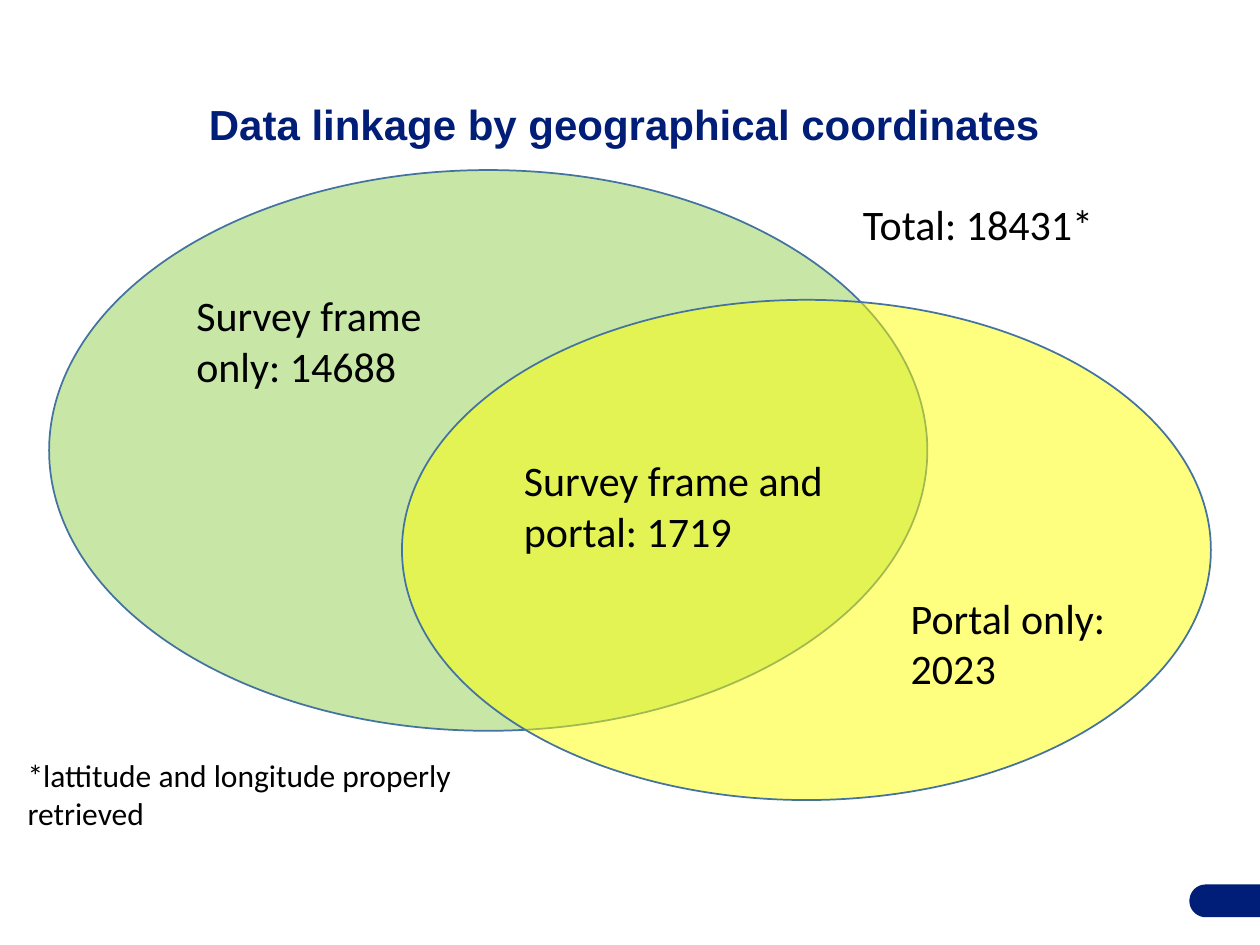
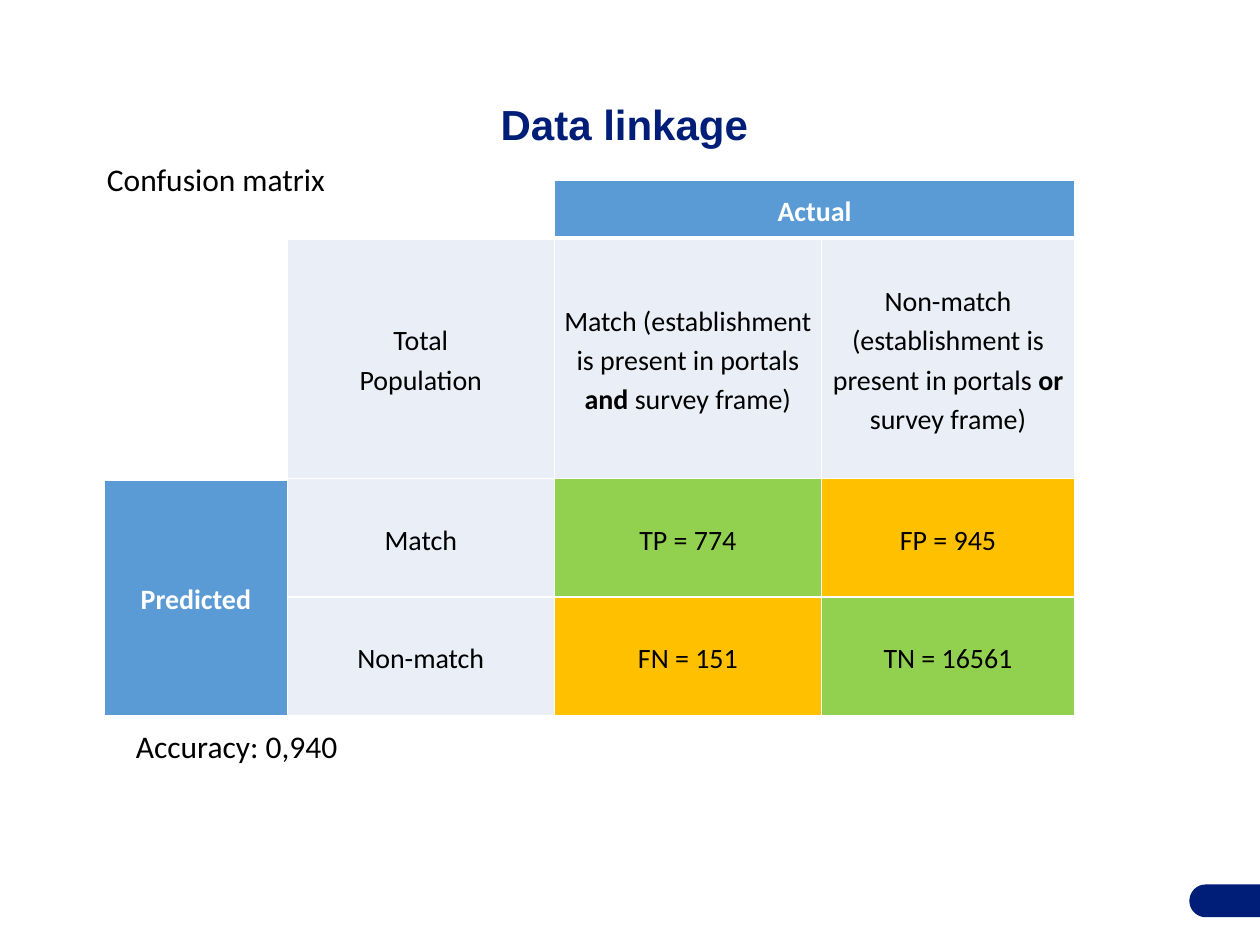
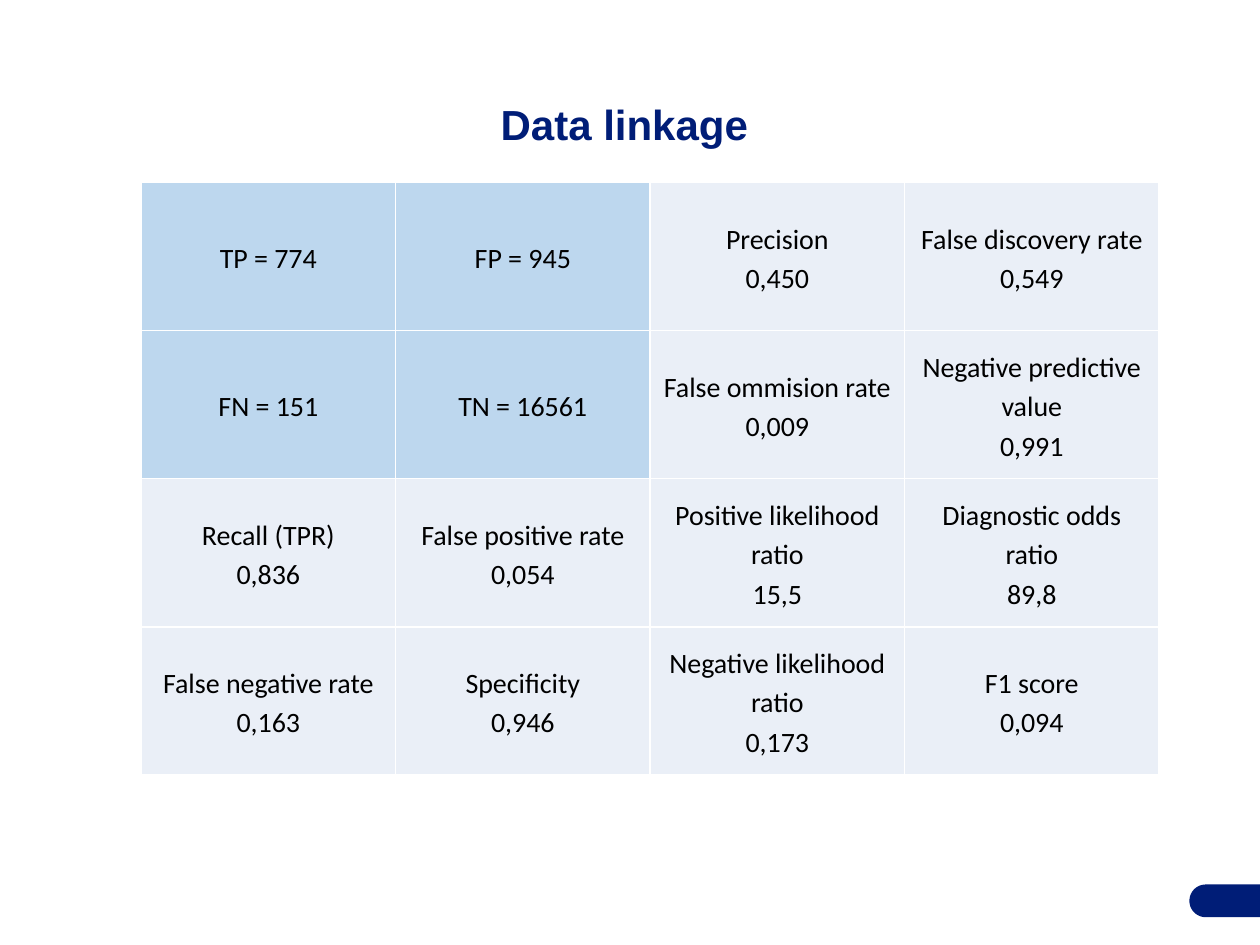
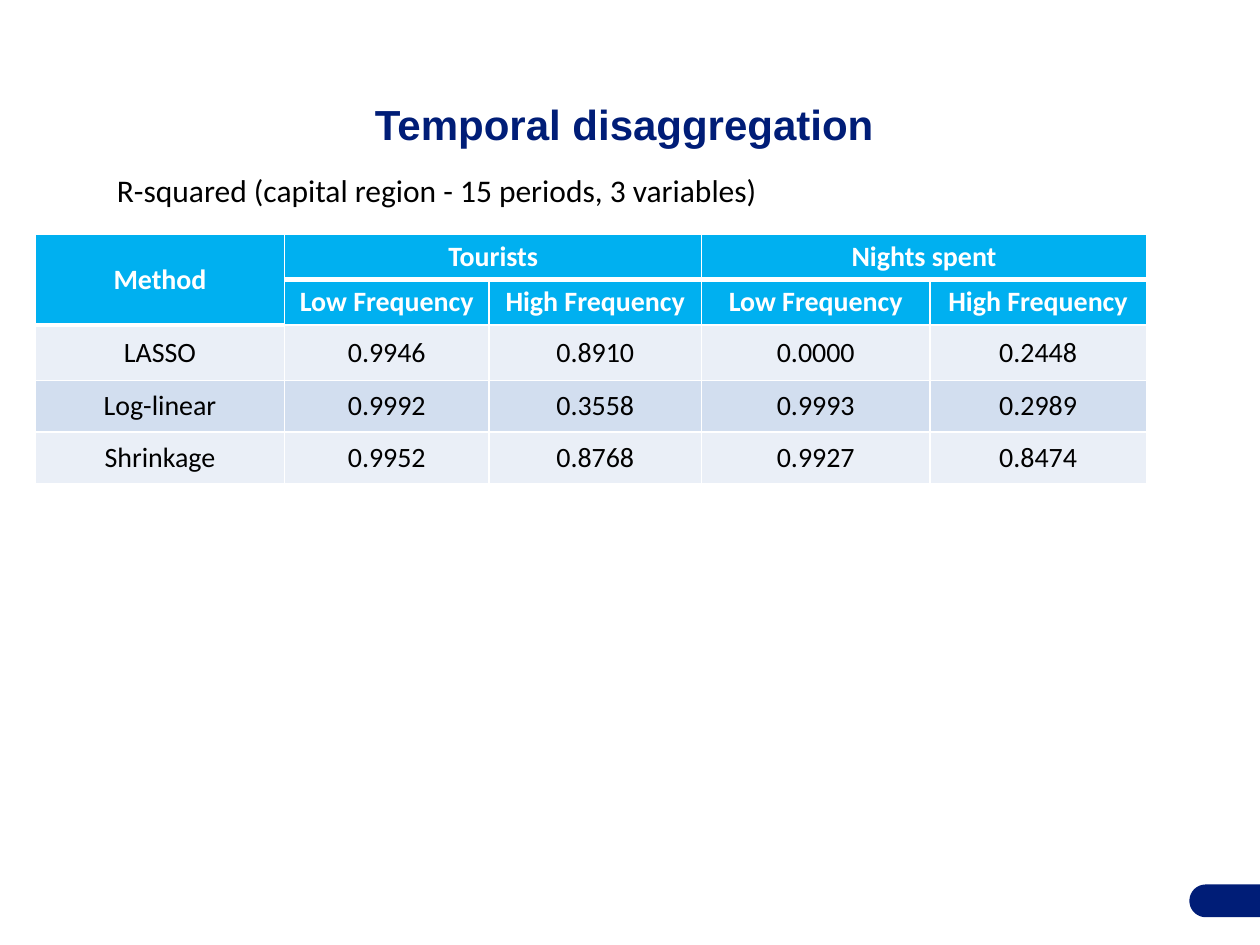
import math
import pptx
import pptx.util
import pptx.dml.color
import pptx.enum.shapes
import pptx.enum.text
import pptx.oxml
import lxml.etree
from pptx.dml.color import RGBColor

NAVY = RGBColor(0x00, 0x1D, 0x77)
BLUE = RGBColor(0x5B, 0x9B, 0xD5)
SKY = RGBColor(0x00, 0xB0, 0xF0)
LIGHT = RGBColor(0xBD, 0xD7, 0xEE)
PALE = RGBColor(0xEA, 0xEF, 0xF7)
BAND = RGBColor(0xD2, 0xDE, 0xEF)
GREEN = RGBColor(0x92, 0xD0, 0x50)
AMBER = RGBColor(0xFF, 0xC0, 0x00)
YELLOW = RGBColor(0xFF, 0xFF, 0x00)
EDGE = RGBColor(0x43, 0x73, 0x9E)
BLACK = RGBColor(0, 0, 0)
WHITE = RGBColor(255, 255, 255)
Pt = pptx.util.Pt
ALIGN = pptx.enum.text.PP_ALIGN
ANCHOR = pptx.enum.text.MSO_ANCHOR
FIT = pptx.enum.text.MSO_AUTO_SIZE

deck = pptx.Presentation()
deck.slide_width = pptx.util.Inches(10)
deck.slide_height = pptx.util.Inches(7.5)
COL = deck.slide_width / 100
ROW = deck.slide_height / 75


def place(left, top, width, height):
    return [round(n * unit) for n, unit in zip((left, top, width, height), (COL, ROW, COL, ROW))]


def grid(slide, left, top, cols, rows, texts, fills, spans=(), space=1.15, head=True):
    frame = slide.shapes.add_table(len(rows), len(cols), *place(left, top, sum(cols), sum(rows)))
    table = frame.table
    table.first_row = table.horz_banding = False
    for col, width in zip(table.columns, cols):
        col.width = round(width * COL)
    for row, height in zip(table.rows, rows):
        row.height = round(height * ROW)
    for r, line in enumerate(texts):
        for c, text in enumerate(line):
            cell, fill = table.cell(r, c), fills[r][c]
            props = cell._tc.get_or_add_tcPr()
            for side in "LRTB":
                thick = 3 if head and r == 0 and side == "B" else 1
                props.append(pptx.oxml.parse_xml(
                    f'<a:ln{side} xmlns:a="http://schemas.openxmlformats.org/drawingml/2006/main" '
                    f'w="{Pt(thick)}"><a:solidFill><a:srgbClr val="{WHITE}"/></a:solidFill></a:ln{side}>'))
            if fill is None:
                cell.fill.background()
            else:
                cell.fill.solid()
                cell.fill.fore_color.rgb = fill
            cell.vertical_anchor = ANCHOR.MIDDLE
            cell.margin_left = cell.margin_right = round(0.7 * COL)
            cell.margin_top = cell.margin_bottom = 0
            strong = fill in (BLUE, SKY)
            cell.text_frame.text = text.replace("*", "")
            for para, words in zip(cell.text_frame.paragraphs, text.split("\n")):
                para.alignment = ALIGN.CENTER
                para.line_spacing = space
                para.font.name, para.font.size = "Calibri", Pt(16)
                para.font.bold = strong
                para.font.color.rgb = WHITE if strong else BLACK
                if "*" in words:
                    para.clear()
                    for i, part in enumerate(words.split("*")):
                        run = para.add_run()
                        run.text = part
                        run.font.bold = i % 2 == 1
    for r, c, end, last in spans:
        table.cell(r, c).merge(table.cell(end, last))


layout = deck.slide_layouts[5]
pages = []
for text in ("Data linkage by geographical coordinates", "Data linkage",
             "Data linkage", "Temporal disaggregation"):
    slide = deck.slides.add_slide(layout)
    title = slide.shapes.title
    title.left, title.top, title.width, title.height = place(2.3, 1.6, 94.5, 7.9)
    frame = title.text_frame
    frame.text = text
    frame.auto_size = FIT.NONE
    frame.vertical_anchor = ANCHOR.TOP
    frame.margin_top = round(6.2 * ROW)
    para = frame.paragraphs[0]
    para.alignment = ALIGN.CENTER
    para.font.name, para.font.size, para.font.bold = "Arial", Pt(24), True
    para.font.color.rgb = NAVY
    pages.append(slide)
venn, matrix, scores, fits = pages

# The page tab sits on the layout, so every slide shows it.
arc = [(95.7 + 1.3 * math.cos(math.radians(a)), 71.5 + 1.3 * math.sin(math.radians(a)))
       for a in range(90, 271, 5)]
path = [(round(x * COL), round(y * ROW)) for x, y in [(100, 70.2), (100, 72.8)] + arc]
pen = venn.shapes.build_freeform(*path[0])
pen.add_line_segments(path[1:])
tab = pen.convert_to_shape()
tab.shadow.inherit = False
tab.fill.solid()
tab.fill.fore_color.rgb = NAVY
tab.line.fill.background()
layout.shapes.element.append(tab.element)

for spot, tint in (((3.9, 13.5, 69.7, 44.5), GREEN), ((31.9, 23.8, 64.2, 39.7), YELLOW)):
    oval = venn.shapes.add_shape(pptx.enum.shapes.MSO_SHAPE.OVAL, *place(*spot))
    oval.shadow.inherit = False
    oval.fill.solid()
    oval.fill.fore_color.rgb = tint
    shade = oval.element.spPr.find(".//" + pptx.oxml.ns.qn("a:srgbClr"))
    lxml.etree.SubElement(shade, pptx.oxml.ns.qn("a:alpha"), val="50000")
    oval.line.color.rgb = EDGE
    oval.line.width = Pt(1)

grid(matrix, 8.3, 14.3, [14.5, 21.2, 21.2, 20.1], [4.6, 19.1, 9.4, 9.4],
     [["", "", "Actual", ""],
      ["", "Total\nPopulation",
       "Match (establishment is present in portals *and* survey frame)",
       "Non-match (establishment is present in portals *or *survey frame)"],
      ["Predicted", "Match", "TP = 774", "FP = 945"],
      ["", "Non-match", "FN = 151", "TN = 16561"]],
     [[None, None, BLUE, BLUE], [None, PALE, PALE, PALE],
      [BLUE, PALE, GREEN, AMBER], [BLUE, PALE, AMBER, GREEN]],
     [(0, 0, 1, 0), (0, 2, 0, 3), (2, 0, 3, 0)])

grid(scores, 11.2, 14.5, [20.2] * 4, [11.75] * 4,
     [["TP = 774", "FP = 945", "Precision\n0,450", "False discovery rate\n0,549"],
      ["FN = 151", "TN = 16561", "False ommision rate\n0,009", "Negative predictive value\n0,991"],
      ["Recall (TPR)\n0,836", "False positive rate\n0,054",
       "Positive likelihood ratio\n15,5", "Diagnostic odds ratio\n89,8"],
      ["False negative rate\n0,163", "Specificity\n0,946",
       "Negative likelihood ratio\n0,173", "F1 score\n0,094"]],
     [[LIGHT, LIGHT, PALE, PALE]] * 2 + [[PALE] * 4] * 2, head=False)

grid(fits, 2.8, 18.6, [19.8, 16.2, 16.9, 18.1, 17.2], [3.6, 3.6, 4.4, 4.1, 4.1],
     [["Method", "Tourists", "", "Nights spent", ""],
      [""] + ["Low Frequency", "High Frequency"] * 2,
      ["LASSO", "0.9946", "0.8910", "0.0000", "0.2448"],
      ["Log-linear", "0.9992", "0.3558", "0.9993", "0.2989"],
      ["Shrinkage", "0.9952", "0.8768", "0.9927", "0.8474"]],
     [[tint] * 5 for tint in (SKY, SKY, PALE, BAND, PALE)],
     [(0, 0, 1, 0), (0, 1, 0, 2), (0, 3, 0, 4)], space=1)

for slide, text, size, spot in (
        (venn, "Survey frame only: 14688", 24, (14.6, 22.5, 24.4, 9.1)),
        (venn, "Portal only: 2023", 24, (71.3, 46.5, 21.3, 9.1)),
        (venn, "Survey frame and portal: 1719", 24, (40.6, 35.6, 26.8, 9.1)),
        (venn, "Total: 18431*", 24, (67.5, 15.3, 26.8, 5)),
        (venn, "*lattitude and longitude properly retrieved", 18, (1.2, 59.5, 37.8, 7.1)),
        (matrix, "Accuracy: 0,940", 18, (9.8, 57.2, 49.6, 4)),
        (matrix, "Confusion matrix", 18, (7.5, 12.2, 29.1, 4)),
        (fits, "R-squared (capital region - 15 periods, 3 variables)", 18, (8.3, 13.1, 72.4, 4))):
    frame = slide.shapes.add_textbox(*place(*spot)).text_frame
    frame.word_wrap = True
    frame.auto_size = FIT.SHAPE_TO_FIT_TEXT
    frame.text = text
    font = frame.paragraphs[0].font
    font.name, font.size, font.color.rgb = "Calibri", Pt(size), BLACK

deck.save("out.pptx")
